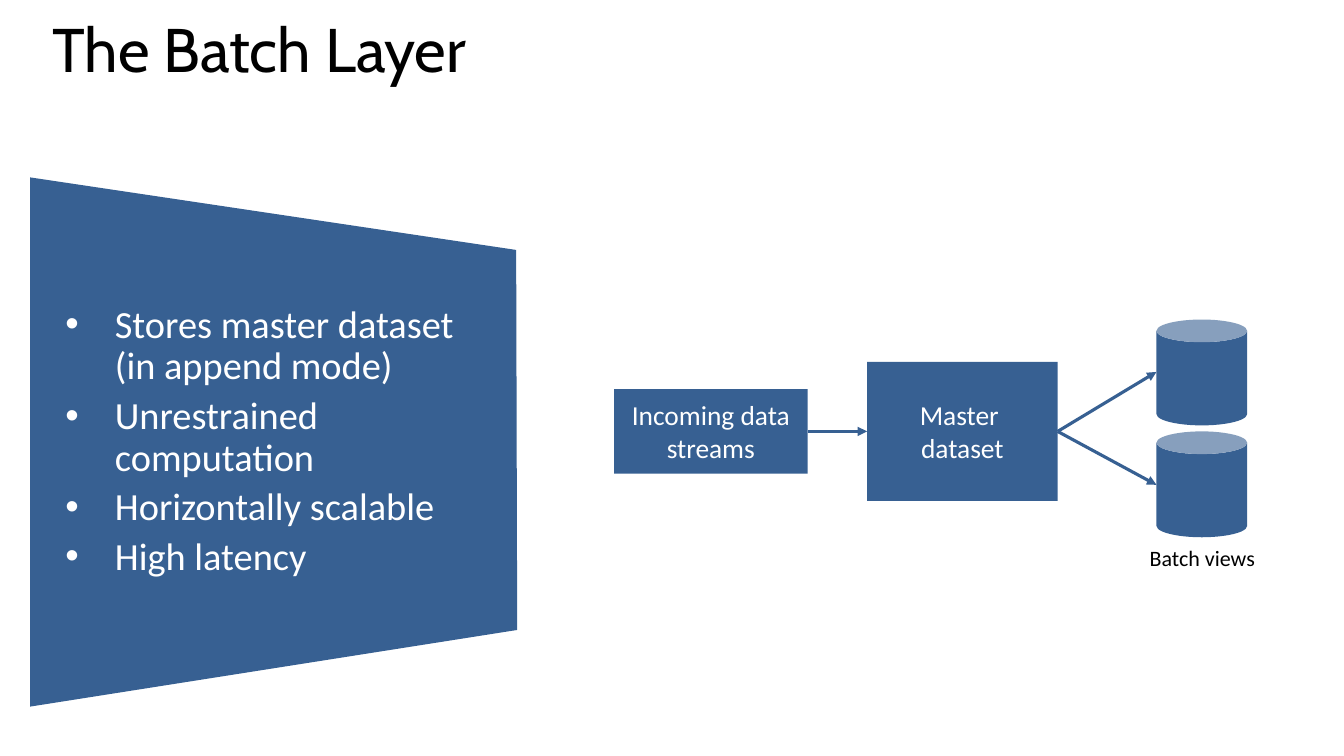
from lxml import etree
from pptx import Presentation
from pptx.dml.color import RGBColor
from pptx.enum import shapes as kinds, text as txt
from pptx.oxml import ns
from pptx.util import Inches, Pt

BLUE = RGBColor(0x37, 0x60, 0x92)
WHITE = RGBColor(0xFF, 0xFF, 0xFF)
BLACK = RGBColor(0, 0, 0)
POINTS = ["Stores master dataset (in append mode)", "Unrestrained computation",
          "Horizontally scalable", "High latency"]
MID = 4.28


def write(shape, lines, size, color=WHITE, font="Calibri", align=txt.PP_ALIGN.CENTER,
          anchor=txt.MSO_ANCHOR.MIDDLE, inset=(0.1, 0.05, 0.1, 0.05),
          space=1.0, after=0, bullet=False):
    """Fill a shape with formatted paragraphs."""
    frame = shape.text_frame
    frame.text = "\n".join(lines)
    frame.word_wrap = True
    frame.auto_size = txt.MSO_AUTO_SIZE.NONE
    frame.vertical_anchor = anchor
    (frame.margin_left, frame.margin_top,
     frame.margin_right, frame.margin_bottom) = map(Inches, inset)
    for para in frame.paragraphs:
        para.alignment = align
        para.line_spacing = space
        para.space_before = Pt(0)
        para.space_after = Pt(after)
        for run in para.runs:
            run.font.size = Pt(size)
            run.font.name = font
            run.font.color.rgb = color
        if bullet:
            props = para._p.get_or_add_pPr()
            props.set("marL", str(Inches(0.49)))
            props.set("indent", str(Inches(-0.49)))
            etree.SubElement(props, ns.qn("a:buFont")).set("typeface", "Arial")
            etree.SubElement(props, ns.qn("a:buChar")).set("char", "•")


def paint(shape):
    """Give a shape a plain blue fill."""
    shape.shadow.inherit = False
    shape.fill.solid()
    shape.fill.fore_color.rgb = BLUE
    shape.line.fill.background()
    return shape


def block(slide, kind, *box):
    """Add a blue preset shape."""
    return paint(slide.shapes.add_shape(kind, *map(Inches, box)))


def panel(slide):
    """Add the tapered panel with the bullet list."""
    form = slide.shapes.build_freeform(Inches(0.3), Inches(1.76))
    corners = [(5.12, 2.48), (5.13, 6.25), (0.3, 7.01)]
    form.add_line_segments([(Inches(x), Inches(y)) for x, y in corners])
    write(paint(form.convert_to_shape()), POINTS, 27.4, align=txt.PP_ALIGN.LEFT,
          inset=(0.35, 0.95, 0.2, 0.95), space=0.9, after=5.9, bullet=True)


def arrow(slide, *ends):
    """Add a blue line with a triangle at its end."""
    link = slide.shapes.add_connector(kinds.MSO_CONNECTOR.STRAIGHT, *map(Inches, ends))
    link.line.color.rgb = BLUE
    link.line.width = Pt(2.25)
    etree.SubElement(link.line._get_or_add_ln(), ns.qn("a:tailEnd")).set("type", "triangle")
    etree.SubElement(link._element.spPr, ns.qn("a:effectLst"))


def main():
    """Build the slide and save it."""
    deck = Presentation()
    deck.slide_width, deck.slide_height = Inches(13.33), Inches(7.5)
    slide = deck.slides.add_slide(deck.slide_layouts[5])

    title = slide.shapes.title
    title.left, title.top, title.width, title.height = map(Inches, (0.42, 0.2, 12.6, 1.16))
    write(title, ["The Batch Layer"], 44, BLACK, "Cabin", txt.PP_ALIGN.LEFT,
          txt.MSO_ANCHOR.TOP, space=0.8)
    panel(slide)

    rect = kinds.MSO_SHAPE.RECTANGLE
    write(block(slide, rect, 6.09, 3.86, 1.92, 0.84), ["Incoming data streams"], 19.6)
    write(block(slide, rect, 8.6, 3.59, 1.89, 1.38), ["Master ", "dataset"], 19.6)
    arrow(slide, 8.01, MID, 8.6, MID)

    label = slide.shapes.add_textbox(*map(Inches, (11.24, 2.94, 1.37, 2.77)))
    write(label, ["Batch views"], 15.7, BLACK, anchor=txt.MSO_ANCHOR.BOTTOM)
    for top, tip in ((3.17, 3.69), (MID, 4.81)):
        block(slide, kinds.MSO_SHAPE.CAN, 11.47, top, 0.9, 1.05)
        arrow(slide, 10.49, MID, 11.47, tip)
    deck.save("out.pptx")


if __name__ == "__main__":
    main()
